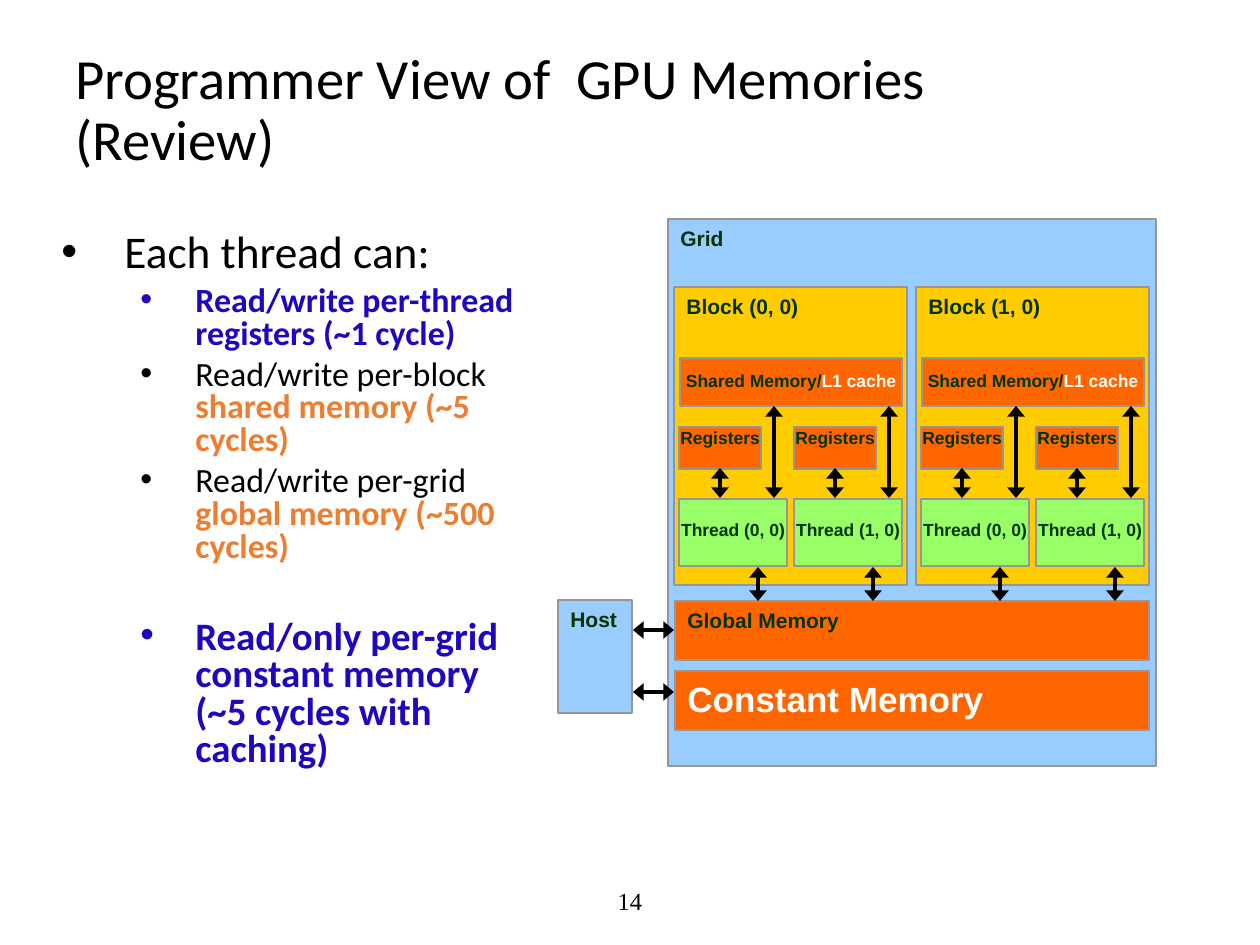
from lxml.etree import SubElement
from pptx import Presentation
from pptx.dml.color import RGBColor
from pptx.enum.shapes import MSO_CONNECTOR, MSO_SHAPE
from pptx.enum.text import MSO_ANCHOR, PP_ALIGN
from pptx.oxml.ns import qn
from pptx.util import Pt

SCALE = 914400 / 126
BLACK = RGBColor(0, 0, 0)
WHITE = RGBColor(255, 255, 255)
GREEN = RGBColor(0x00, 0x33, 0x00)
GRAY = RGBColor(0x96, 0x96, 0x96)
SKY = RGBColor(0x99, 0xCC, 0xFF)
GOLD = RGBColor(0xFF, 0xCC, 0x00)
FLAME = RGBColor(0xFF, 0x66, 0x00)
LIME = RGBColor(0x99, 0xFF, 0x66)
BLUE = RGBColor(0x1D, 0x07, 0xBF)
AMBER = RGBColor(0xED, 0x7D, 0x31)


def px(*nums):
    """Turn pixel lengths into EMU."""
    return [round(n * SCALE) for n in nums]


def add_run(para, text, size, color, bold=False, font="Calibri"):
    """Add one styled run to a paragraph."""
    run = para.add_run()
    run.text = text
    run.font.size = Pt(size)
    run.font.name = font
    run.font.bold = bold
    run.font.color.rgb = color


def text_box(slide, box, anchor):
    """Add a wrapping text box and return its frame."""
    frame = slide.shapes.add_textbox(*px(*box)).text_frame
    frame.word_wrap = True
    frame.vertical_anchor = anchor
    return frame


def panel(slide, box, fill, runs, size=12, top=None):
    """Draw a labelled box; a given top inset centres the label."""
    shape = slide.shapes.add_shape(MSO_SHAPE.RECTANGLE, *px(*box))
    shape.shadow.inherit = False
    shape.fill.solid()
    shape.fill.fore_color.rgb = fill
    shape.line.color.rgb = GRAY
    shape.line.width = Pt(0.75)
    frame = shape.text_frame
    frame.word_wrap = True
    frame.vertical_anchor = MSO_ANCHOR.TOP
    para = frame.paragraphs[0]
    para.alignment = PP_ALIGN.LEFT
    if top is not None:
        para.alignment = PP_ALIGN.CENTER
        frame.margin_left = frame.margin_right = frame.margin_bottom = 0
        frame.margin_top = px(top)[0]
    for text, color in runs:
        add_run(para, text, size, color, True, "Arial")


def arrow(slide, *ends):
    """Draw a line with a head at both ends."""
    link = slide.shapes.add_connector(MSO_CONNECTOR.STRAIGHT, *px(*ends))
    link.line.color.rgb = BLACK
    link.line.width = Pt(2)
    line = link.line._get_or_add_ln()
    for tag in ("a:headEnd", "a:tailEnd"):
        SubElement(line, qn(tag), type="triangle", w="lg", len="med")
    SubElement(link._element.spPr, qn("a:effectLst"))


def title(slide, box):
    """Write the slide title."""
    para = text_box(slide, box, MSO_ANCHOR.MIDDLE).paragraphs[0]
    para.line_spacing = 0.9
    add_run(para, "Programmer View of  GPU Memories", 32.4, BLACK)
    para.add_line_break()
    add_run(para, "(Review)", 32.4, BLACK)


def bullets(slide, box):
    """Write the list of memory accesses."""
    items = [
        (0, 10, 25.9, [("Each thread can:", BLACK)]),
        (1, 5, 19.4, [("Read/write per-thread registers (~1 cycle)", BLUE)]),
        (1, 5, 19.4, [("Read/write per-block ", BLACK),
                      ("shared memory (~5 cycles)", AMBER)]),
        (1, 5, 19.4, [("Read/write per-grid ", BLACK),
                      ("global memory (~500 cycles)", AMBER)]),
        (1, 32, 22.2, [("Read/only per-grid constant memory "
                        "(~5 cycles with caching)", BLUE)]),
    ]
    frame = text_box(slide, box, MSO_ANCHOR.TOP)
    for i, (level, gap, size, runs) in enumerate(items):
        para = frame.add_paragraph() if i else frame.paragraphs[0]
        para.level = level
        para.line_spacing = 0.8
        para.space_before = Pt(gap)
        left, hang = px(134, 55) if level else px(63, 63)
        props = para._p.get_or_add_pPr()
        props.set("marL", str(left))
        props.set("indent", str(-hang))
        SubElement(props, qn("a:buFont"), typeface="Arial")
        SubElement(props, qn("a:buChar"), char="•")
        for text, color in runs:
            add_run(para, text, size, color, color != BLACK)


def thread(slide, x, y, name):
    """Draw a thread with its registers and memory links."""
    panel(slide, (x, y + 72, 108, 67), LIME, [(name, GREEN)], 10, 20)
    panel(slide, (x, y, 82, 42), FLAME, [("Registers", GREEN)], 10, 0)
    for dx, start, end in ((95, 71, -21), (41, 71, 41), (79, 140, 174)):
        arrow(slide, x + dx, y + start, x + dx, y + end)


def block(slide, x, y, name):
    """Draw a block with shared memory and two threads."""
    panel(slide, (x, y, 233, 298), GOLD, [(name, GREEN)])
    panel(slide, (x + 6, y + 71, 222, 48), FLAME,
          [("Shared Memory/", GREEN), ("L1 cache", WHITE)], 10, 12)
    for i in range(2):
        thread(slide, x + 5 + 115 * i, y + 140, f"Thread ({i}, 0)")


def grid(slide, x, y):
    """Draw the grid, its memories and the host."""
    panel(slide, (x, y, 488, 547), SKY, [("Grid", GREEN)])
    panel(slide, (x + 7, y + 382, 474, 59), FLAME, [("Global Memory", GREEN)])
    panel(slide, (x + 7, y + 452, 474, 59), FLAME,
          [("Constant Memory", WHITE)], 20)
    for i in range(2):
        block(slide, x + 6 + 242 * i, y + 68, f"Block ({i}, 0)")
    panel(slide, (x - 110, y + 381, 74, 113), SKY, [("Host", GREEN)])
    for dy in (411, 473):
        arrow(slide, x - 35, y + dy, x + 6, y + dy)


def number(slide, box):
    """Write the slide number."""
    para = text_box(slide, box, MSO_ANCHOR.MIDDLE).paragraphs[0]
    para.alignment = PP_ALIGN.CENTER
    add_run(para, "14", 14, BLACK, font="Times New Roman")


def main():
    """Build and save the slide."""
    deck = Presentation()
    deck.slide_width, deck.slide_height = px(1260, 945)
    slide = deck.slides.add_slide(deck.slide_layouts[6])
    number(slide, (417, 876, 426, 50))
    title(slide, (63, 38, 1197, 147))
    bullets(slide, (49, 228, 495, 566))
    grid(slide, 668, 219)
    deck.save("out.pptx")


if __name__ == "__main__":
    main()
